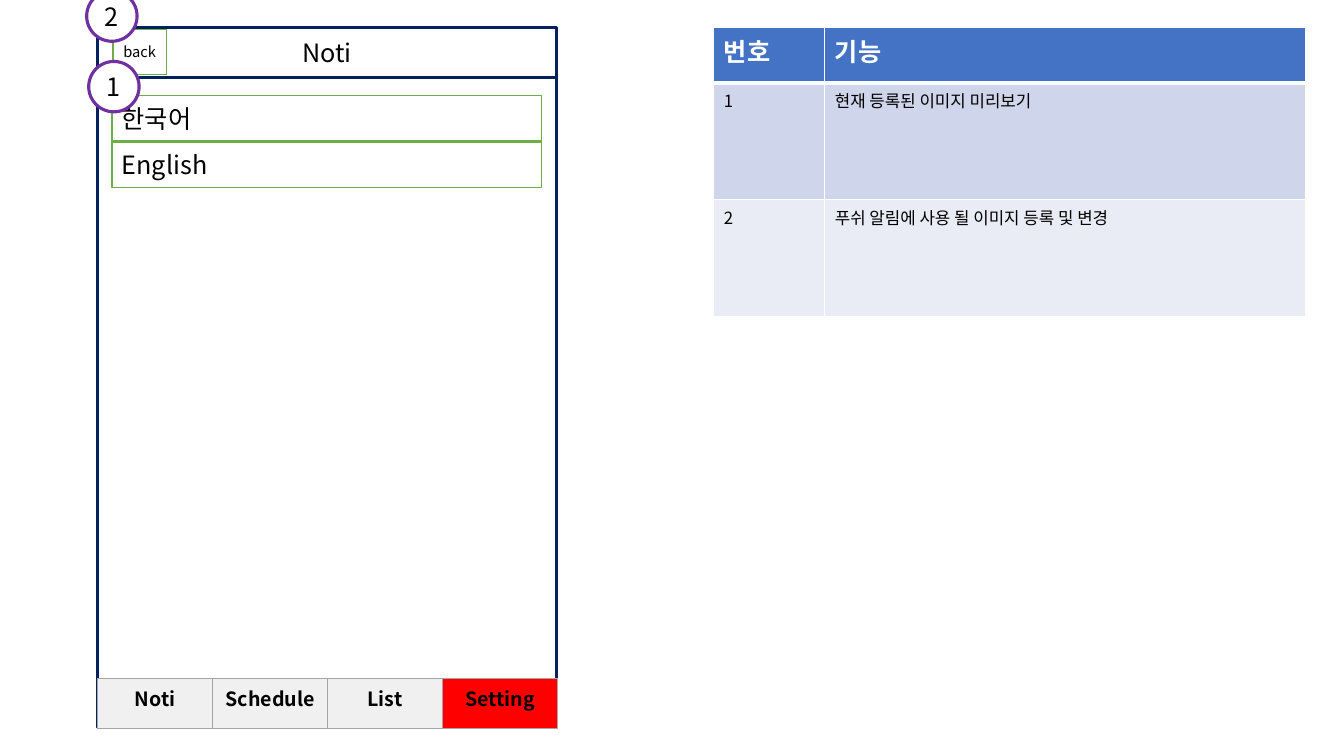
from lxml.etree import SubElement
from pptx import Presentation
from pptx.dml.color import RGBColor
from pptx.enum.shapes import MSO_SHAPE
from pptx.enum.text import MSO_ANCHOR, PP_ALIGN
from pptx.oxml.ns import qn
from pptx.util import Pt

EMU_PER_PX = 9144  # 100 px to the inch
FONT = "Noto Sans CJK KR"
BLACK = RGBColor(0x00, 0x00, 0x00)
WHITE = RGBColor(0xFF, 0xFF, 0xFF)
NAVY = RGBColor(0x00, 0x20, 0x60)
GREEN = RGBColor(0x70, 0xAD, 0x47)
PURPLE = RGBColor(0x70, 0x30, 0xA0)
GRAY = RGBColor(0xA5, 0xA5, 0xA5)
TAB_GRAY = RGBColor(0xF0, 0xF0, 0xF0)
RED = RGBColor(0xFF, 0x00, 0x00)
HEADER_BLUE = RGBColor(0x44, 0x72, 0xC4)
BAND_DARK = RGBColor(0xCF, 0xD5, 0xEA)
BAND_LIGHT = RGBColor(0xE9, 0xEB, 0xF5)


def px(length):
    return length * EMU_PER_PX


class Wireframe:
    def __init__(self, slide):
        self.slide = slide

    def add_text(self, frame, text, size, color=BLACK, bold=False, align=PP_ALIGN.LEFT):
        paragraph = frame.paragraphs[0]
        paragraph.alignment = align
        run = paragraph.add_run()
        run.text = text
        run.font.size = Pt(size)
        run.font.bold = bold
        run.font.color.rgb = color
        run.font.name = FONT
        SubElement(run._r.get_or_add_rPr(), qn("a:ea"), typeface=FONT)

    def box(self, bounds, line, weight, text="", size=18, fill=WHITE,
            kind=MSO_SHAPE.RECTANGLE, align=PP_ALIGN.CENTER):
        shape = self.slide.shapes.add_shape(kind, *map(px, bounds))
        shape.shadow.inherit = False
        if fill is None:
            shape.fill.background()
        else:
            shape.fill.solid()
            shape.fill.fore_color.rgb = fill
        shape.line.color.rgb = line
        shape.line.width = Pt(weight)
        if text:
            frame = shape.text_frame
            frame.word_wrap = True
            frame.vertical_anchor = MSO_ANCHOR.MIDDLE
            if align == PP_ALIGN.CENTER:
                frame.margin_left = frame.margin_right = 0
            self.add_text(frame, text, size, align=align)

    def table(self, left, top, widths, heights):
        table = self.slide.shapes.add_table(
            len(heights), len(widths), px(left), px(top),
            px(sum(widths)), px(sum(heights))).table
        for column, width in zip(table.columns, widths):
            column.width = px(width)
        for row, height in zip(table.rows, heights):
            row.height = px(height)
        return table

    def cell(self, cell, text, size, fill, border, top=1, bottom=1, **style):
        """Border widths are in points; the borders must precede the fill."""
        properties = cell._tc.get_or_add_tcPr()
        for side, width in (("L", 1), ("R", 1), ("T", top), ("B", bottom)):
            edge = SubElement(properties, qn(f"a:ln{side}"), w=str(int(Pt(width))))
            solid = SubElement(edge, qn("a:solidFill"))
            SubElement(solid, qn("a:srgbClr"), val=str(border))
        cell.fill.solid()
        cell.fill.fore_color.rgb = fill
        self.add_text(cell.text_frame, text, size, **style)


def draw_phone(wireframe):
    wireframe.box((97, 27, 455, 695), NAVY, 2.25, fill=None)
    wireframe.box((97, 27, 455, 50), NAVY, 2.25, "Noti", fill=None)

    tabs = ("Noti", "Schedule", "List", "Setting")
    tab_bar = wireframe.table(97, 673, [114] * len(tabs), [50])
    for column, tab in enumerate(tabs):
        wireframe.cell(tab_bar.cell(0, column), tab, 14,
                       RED if tab == "Setting" else TAB_GRAY, GRAY,
                       bold=True, align=PP_ALIGN.CENTER)

    for index, language in enumerate(("한국어", "English")):
        wireframe.box((111, 95 + 46 * index, 426, 45), GREEN, 1, language,
                      align=PP_ALIGN.LEFT)
    wireframe.box((112, 29, 53, 45), GREEN, 1, "back", 10.5)
    for number, left, top in (("2", 86, -9), ("1", 88, 61)):
        wireframe.box((left, top, 50, 50), PURPLE, 2.25, number, kind=MSO_SHAPE.OVAL)


def draw_functions(wireframe):
    functions = (
        ("번호", "기능"),
        ("1", "현재 등록된 이미지 미리보기"),
        ("2", "푸쉬 알림에 사용 될 이미지 등록 및 변경"),
    )
    row_styles = (
        dict(size=18, fill=HEADER_BLUE, bottom=3, color=WHITE, bold=True),
        dict(size=12, fill=BAND_DARK, top=3),
        dict(size=12, fill=BAND_LIGHT),
    )
    table = wireframe.table(708, 27, [110, 477], [55, 116, 116])
    for row, (texts, style) in enumerate(zip(functions, row_styles)):
        for column, text in enumerate(texts):
            wireframe.cell(table.cell(row, column), text, border=WHITE, **style)


def main():
    presentation = Presentation()
    presentation.slide_width = px(1333)
    presentation.slide_height = px(750)
    slide = presentation.slides.add_slide(presentation.slide_layouts[6])
    wireframe = Wireframe(slide)
    draw_phone(wireframe)
    draw_functions(wireframe)
    presentation.save("out.pptx")


if __name__ == "__main__":
    main()
